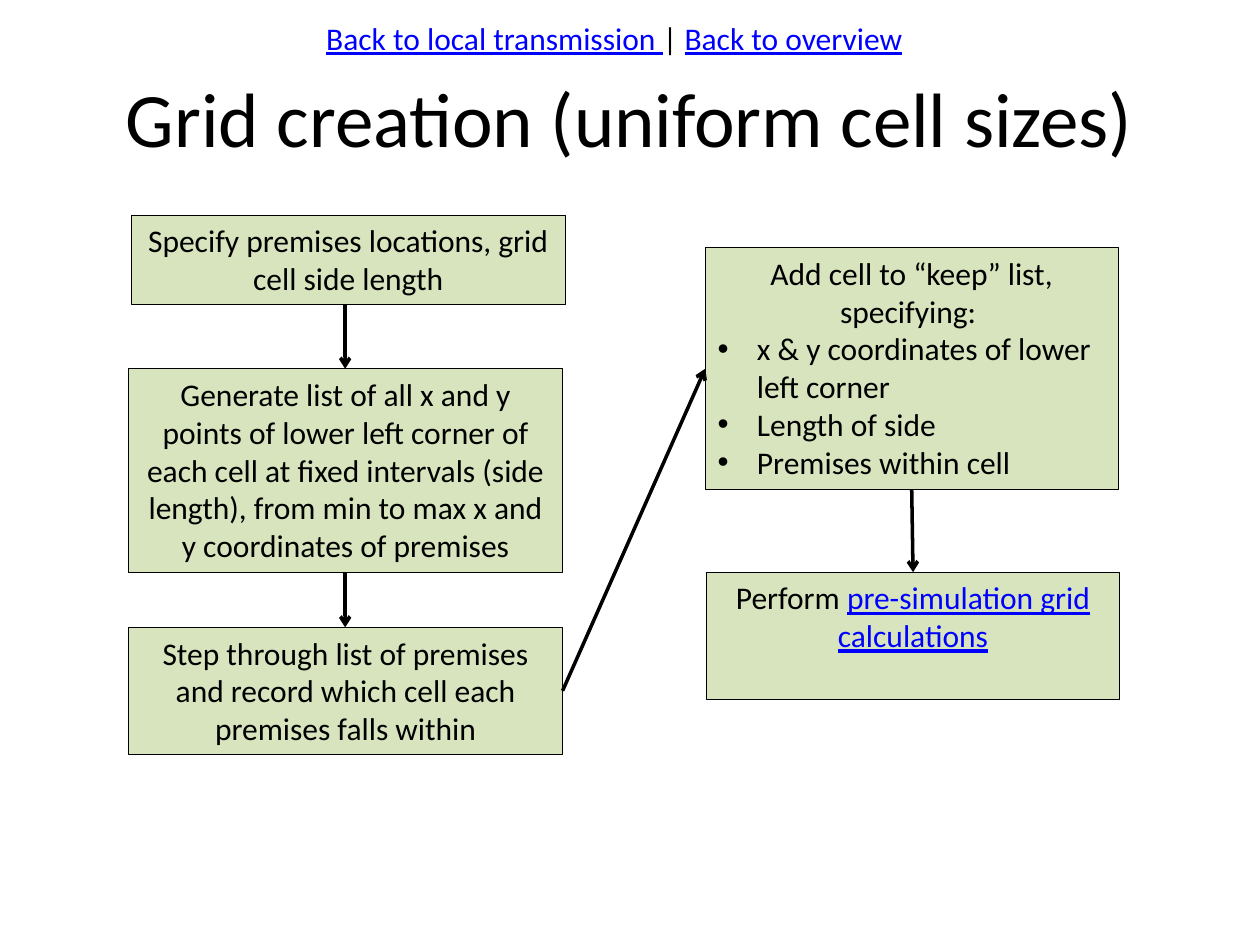
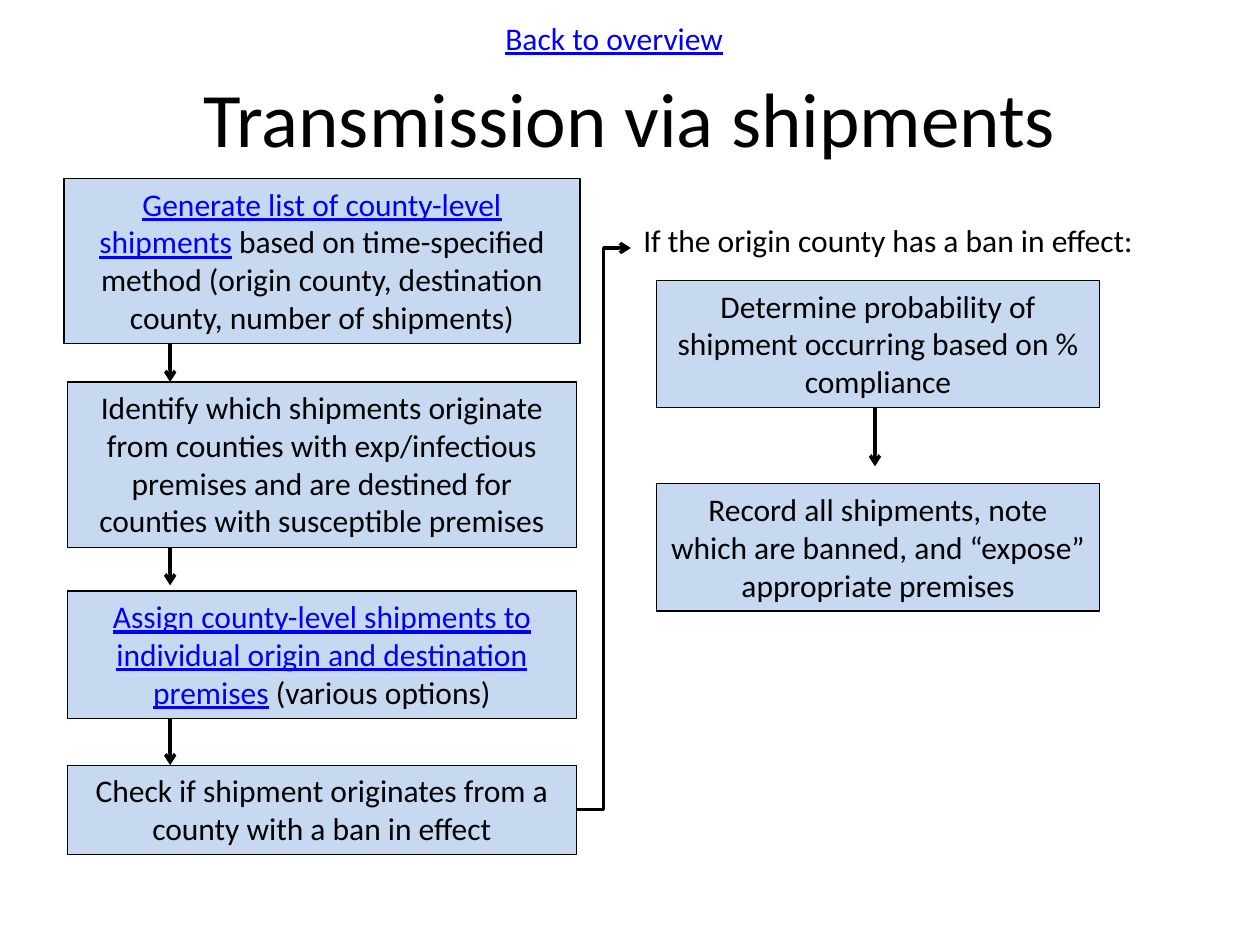
from dataclasses import dataclass

from pptx import Presentation
from pptx.dml.color import RGBColor
from pptx.enum.shapes import MSO_CONNECTOR, MSO_SHAPE
from pptx.enum.text import MSO_ANCHOR, PP_ALIGN
from pptx.oxml.ns import qn
from pptx.util import Pt
from lxml import etree

STRAIGHT, ELBOW = MSO_CONNECTOR.STRAIGHT, MSO_CONNECTOR.ELBOW
RECTANGLE = MSO_SHAPE.RECTANGLE
TOP, MIDDLE = MSO_ANCHOR.TOP, MSO_ANCHOR.MIDDLE
LEFT, CENTER = PP_ALIGN.LEFT, PP_ALIGN.CENTER


@dataclass(frozen=True)
class Theme:
    font: str = "Calibri"
    title_size: float = 44
    body_size: float = 18
    ink: RGBColor = RGBColor(0, 0, 0)
    link: RGBColor = RGBColor(0, 0, 255)
    grid_fill: RGBColor = RGBColor(0xD7, 0xE4, 0xBD)
    shipment_fill: RGBColor = RGBColor(0xC6, 0xD9, 0xF1)
    border: float = 0.75
    arrow: float = 2
    bullet_indent: float = 22.5


THEME = Theme()
TITLE_BOX = (36, 21.6, 648, 90)
NAVIGATION_BOX = (52.5, 7.2, 597, 29)


@dataclass(frozen=True)
class Link:
    text: str


def add_runs(paragraph, parts, size=THEME.body_size):
    for part in parts:
        linked = isinstance(part, Link)
        run = paragraph.add_run()
        run.text = part.text if linked else part
        run.font.name = THEME.font
        run.font.size = Pt(size)
        run.font.underline = linked
        run.font.color.rgb = THEME.link if linked else THEME.ink


def add_label(slide, box, parts, align=CENTER, anchor=TOP, size=THEME.body_size):
    label = slide.shapes.add_textbox(*map(Pt, box))
    frame = label.text_frame
    frame.word_wrap = True
    frame.vertical_anchor = anchor
    frame.paragraphs[0].alignment = align
    add_runs(frame.paragraphs[0], parts, size)


def add_heading(slide, title, navigation):
    add_label(slide, TITLE_BOX, [title], anchor=MIDDLE, size=THEME.title_size)
    add_label(slide, NAVIGATION_BOX, navigation)


def add_bullet(frame, text):
    paragraph = frame.add_paragraph()
    paragraph.alignment = LEFT
    properties = paragraph._p.get_or_add_pPr()
    indent = Pt(THEME.bullet_indent)
    properties.set("marL", str(indent))
    properties.set("indent", str(-indent))
    etree.SubElement(properties, qn("a:buFont"), typeface="Arial")
    etree.SubElement(properties, qn("a:buChar"), char="•")
    add_runs(paragraph, [text])


def add_step(slide, box, fill, parts, bullets=()):
    step = slide.shapes.add_shape(RECTANGLE, *map(Pt, box))
    step.shadow.inherit = False
    step.fill.solid()
    step.fill.fore_color.rgb = fill
    step.line.color.rgb = THEME.ink
    step.line.width = Pt(THEME.border)
    frame = step.text_frame
    frame.word_wrap = True
    frame.vertical_anchor = TOP
    frame.paragraphs[0].alignment = CENTER
    add_runs(frame.paragraphs[0], parts)
    for bullet in bullets:
        add_bullet(frame, bullet)


def add_arrow(slide, start, end, route=STRAIGHT):
    arrow = slide.shapes.add_connector(route, *map(Pt, (*start, *end)))
    arrow.line.color.rgb = THEME.ink
    arrow.line.width = Pt(THEME.arrow)
    etree.SubElement(arrow.line._get_or_add_ln(), qn("a:tailEnd"), type="arrow")
    etree.SubElement(arrow._element.spPr, qn("a:effectLst"))


def add_down_arrows(slide, x, spans):
    for top, bottom in spans:
        add_arrow(slide, (x, top), (x, bottom))


def add_column(slide, left, width, fill, steps):
    for top, height, parts in steps:
        add_step(slide, (left, top, width, height), fill, parts)


def build_grid_creation(slide):
    fill = THEME.grid_fill
    add_heading(slide, "Grid creation (uniform cell sizes)",
                [Link("Back to local transmission "), "| ", Link("Back to overview")])
    add_step(slide, (75, 123, 248, 51), fill,
             ["Specify premises locations, grid cell side length"])
    add_column(slide, 73.5, 248, fill, [
        (210.75, 116.5, ["Generate list of all x and y points of lower left corner of each "
                         "cell at fixed intervals (side length), from min to max x and y "
                         "coordinates of premises"]),
        (358.5, 72.75, ["Step through list of premises and record which cell each "
                        "premises falls within"]),
    ])
    add_step(slide, (403, 141.5, 236, 138.25), fill,
             ["Add cell to “keep” list, specifying: "],
             ["x & y coordinates of lower left corner", "Length of side",
              "Premises within cell"])
    add_step(slide, (403.75, 327, 236, 72.75), fill,
             ["Perform ", Link("pre-simulation grid calculations")])
    add_down_arrows(slide, 197.25, [(174, 210.75), (327.25, 358.5)])
    add_arrow(slide, (321.5, 394.75), (403, 210.75))
    add_arrow(slide, (521, 279.75), (521.75, 327))


def build_shipments(slide):
    fill = THEME.shipment_fill
    add_down_arrows(slide, 97.25, [(184, 218.25), (291, 334.5), (356, 437.25)])
    add_heading(slide, "Transmission via shipments", [Link("Back to overview")])
    add_step(slide, (36.5, 102, 295, 94.5), fill,
             [Link("Generate list of county-level shipments"),
              " based on time-specified method (origin county, destination county, "
              "number of shipments)"])
    add_column(slide, 38.5, 291, fill, [
        (218.25, 94.5, ["Identify which shipments originate from counties with "
                        "exp/infectious premises and are destined for counties with "
                        "susceptible premises"]),
        (337.75, 72.75, [Link("Assign county-level shipments to individual origin and "
                              "destination premises"), " (various options)"]),
        (437.25, 51, ["Check if shipment originates from a county with a ban in effect"]),
    ])
    add_label(slide, (360.5, 123, 306, 29),
              ["If the origin county has a ban in effect:"], align=LEFT)
    add_column(slide, 375, 253.5, fill, [
        (160.25, 72.75, ["Determine probability of shipment occurring based on % "
                         "compliance"]),
        (276.5, 72.75, ["Record all shipments, note which are banned, and “expose” "
                        "appropriate premises"]),
    ])
    add_down_arrows(slide, 500, [(233, 266.5)])
    add_arrow(slide, (329.5, 462.75), (360.5, 141.75), ELBOW)


deck = Presentation()
deck.slide_width, deck.slide_height = Pt(720), Pt(540)
blank_layout = deck.slide_layouts[6]
for build in (build_grid_creation, build_shipments):
    build(deck.slides.add_slide(blank_layout))
deck.save("out.pptx")
